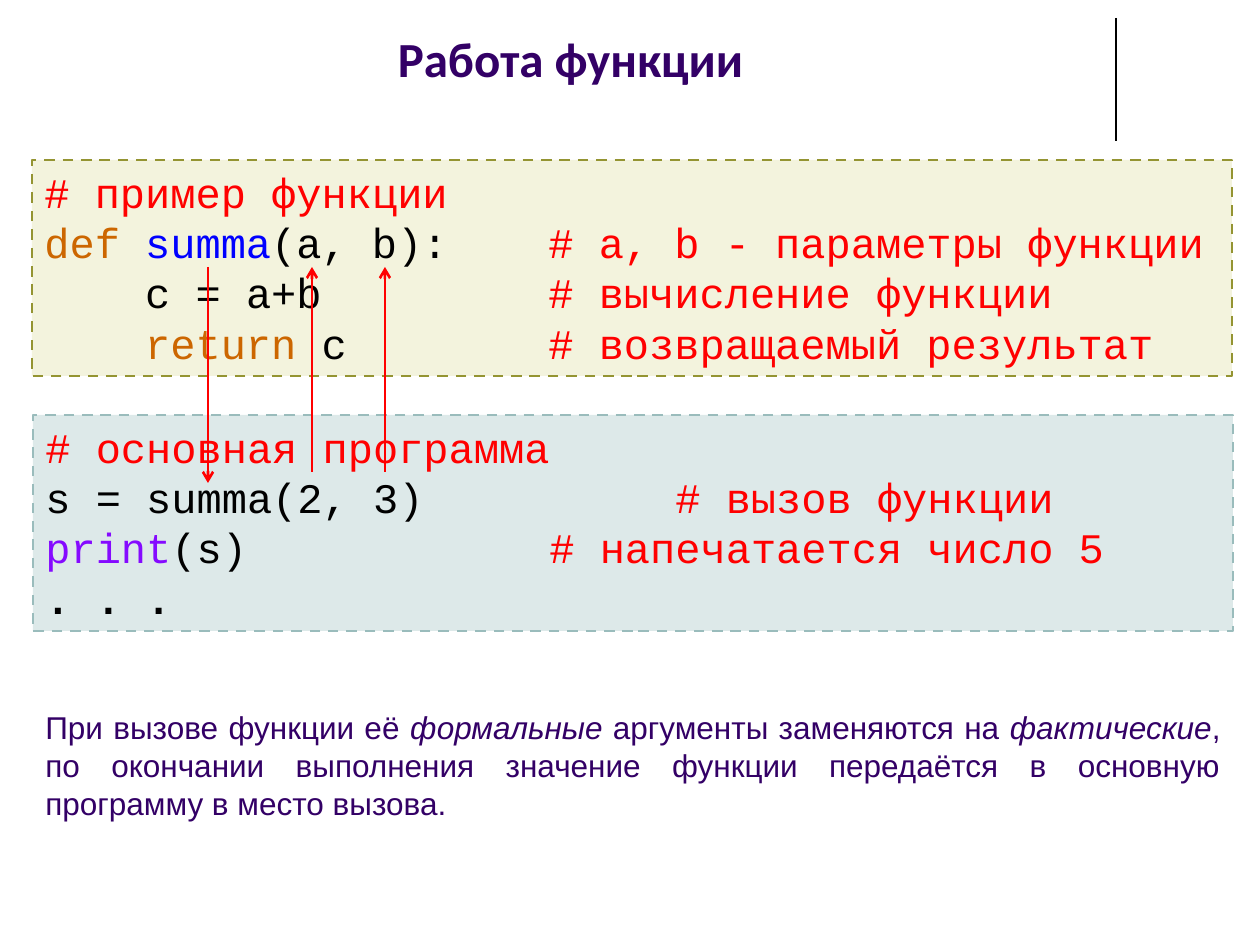
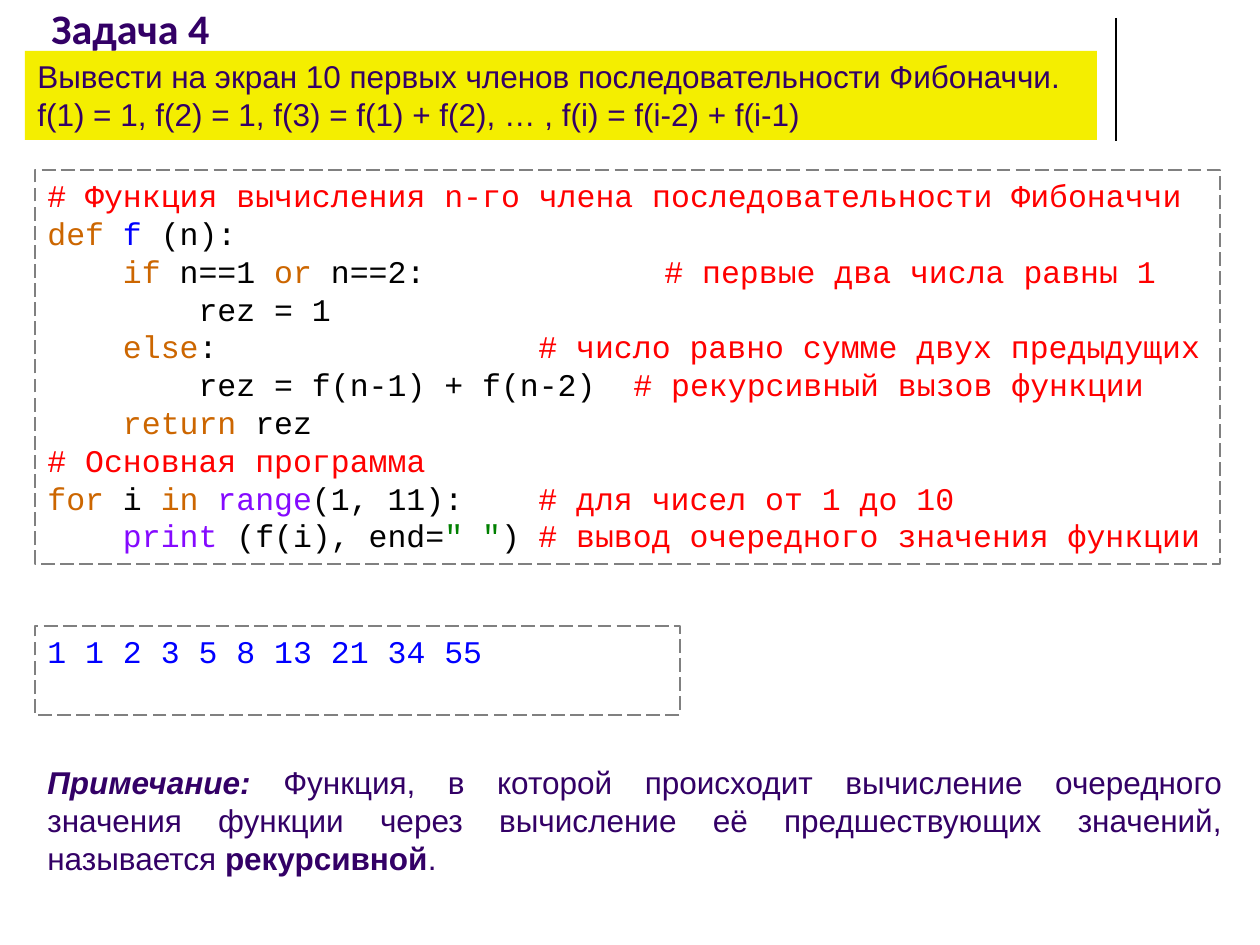
from lxml import etree
from pptx import Presentation
from pptx import util as u
from pptx.dml.color import RGBColor
from pptx.enum import dml, shapes, text
from pptx.oxml.ns import qn

PX = u.Inches(1) // 126

COLOURS = {
    "ink": "330066",
    "rule": "000000",
    "comment": "FF0000",
    "keyword": "CC6600",
    "function": "0000FF",
    "builtin": "850AFF",
    "string": "008000",
    "plain": "000000",
    "arrow": "FF0000",
    "yellow": "F4EE00",
    "olive_fill": "F3F3DD",
    "olive_line": "949432",
    "teal_fill": "DDE9E9",
    "teal_line": "9ABCBC",
    "white": "FFFFFF",
    "grey": "808080",
}
DASH = dml.MSO_LINE.DASH
LONG_DASH = dml.MSO_LINE.LONG_DASH
JUSTIFY = text.PP_ALIGN.JUSTIFY


def colour(name):
    return RGBColor.from_string(COLOURS[name])


def set_tab(paragraph, position):
    tabs = etree.SubElement(paragraph._p.get_or_add_pPr(), qn("a:tabLst"))
    etree.SubElement(tabs, qn("a:tab"), pos=str(position * PX), algn="l")


class Deck:
    def __init__(self):
        self.presentation = Presentation()
        self.presentation.slide_width = 1260 * PX
        self.presentation.slide_height = 945 * PX
        self.slide = None

    def new_slide(self, title, box, size, align=text.PP_ALIGN.LEFT):
        """Start a slide with the shared rule at the upper right and a title."""
        self.slide = self.presentation.slides.add_slide(self.presentation.slide_layouts[6])
        self.line(1116, 18, 1116, 141, "rule", 0.75)
        shape = self.textbox(box, [(title, "b")], size, align, "Calibri")
        shape.text_frame.vertical_anchor = text.MSO_ANCHOR.BOTTOM

    def line(self, x1, y1, x2, y2, line_colour, width, arrow=False):
        connector = self.slide.shapes.add_connector(
            shapes.MSO_CONNECTOR.STRAIGHT, x1 * PX, y1 * PX, x2 * PX, y2 * PX)
        connector.line.color.rgb = colour(line_colour)
        connector.line.width = u.Pt(width)
        if arrow:
            etree.SubElement(connector.line._get_or_add_ln(), qn("a:tailEnd"), type="arrow")
        etree.SubElement(connector._element.spPr, qn("a:effectLst"))

    def rectangle(self, box, fill, outline=None, width=1.5, dash=DASH):
        shape = self.slide.shapes.add_shape(
            shapes.MSO_SHAPE.RECTANGLE, *(length * PX for length in box))
        shape.shadow.inherit = False
        shape.fill.solid()
        shape.fill.fore_color.rgb = colour(fill)
        if outline:
            shape.line.color.rgb = colour(outline)
            shape.line.width = u.Pt(width)
            shape.line.dash_style = dash
        else:
            shape.line.fill.background()
        shape.text_frame.vertical_anchor = text.MSO_ANCHOR.TOP
        return shape

    def write_run(self, paragraph, words, font_name, size, ink, style=""):
        run = paragraph.add_run()
        run.text = words
        run.font.name = font_name
        run.font.size = u.Pt(size)
        run.font.color.rgb = colour(ink)
        run.font.bold = "b" in style
        run.font.italic = "i" in style

    def textbox(self, box, runs, size=18, align=JUSTIFY, font_name="Arial"):
        """Write one paragraph of (words, style) runs; style may hold b and i."""
        shape = self.slide.shapes.add_textbox(*(length * PX for length in box))
        shape.text_frame.word_wrap = True
        paragraph = shape.text_frame.paragraphs[0]
        paragraph.alignment = align
        for words, style in runs:
            self.write_run(paragraph, words, font_name, size, "ink", style)
        return shape

    def banner(self, box, lines):
        shape = self.rectangle(box, "yellow")
        paragraph = shape.text_frame.paragraphs[0]
        paragraph.alignment = text.PP_ALIGN.LEFT
        for index, words in enumerate(lines):
            if index:
                paragraph.add_line_break()
            self.write_run(paragraph, words, "Arial", 18, "ink")

    def code(self, shape, size, lines):
        """Fill a shape with lines of (kind, words) runs.

        A run of (tab position, words) is a comment aligned at that position.
        """
        frame = shape.text_frame
        for index, runs in enumerate(lines):
            paragraph = frame.add_paragraph() if index else frame.paragraphs[0]
            paragraph.alignment = text.PP_ALIGN.LEFT
            for kind, words in runs:
                if isinstance(kind, int):
                    set_tab(paragraph, kind)
                    kind, words = "comment", "\t" + words
                style = "b" if words == ". . ." else ""
                self.write_run(paragraph, words, "Courier New", size, kind, style)


def build_function_slide(deck):
    deck.new_slide("Работа функции", (74, 21, 993, 73), 28, text.PP_ALIGN.CENTER)
    comments = 504
    program = deck.rectangle((33, 415, 1200, 216), "teal_fill", "teal_line")
    deck.code(program, 24, [
        [("comment", "# основная программа")],
        [("plain", "s = summa(2, 3)"), (630, "# вызов функции")],
        [("builtin", "print"), ("plain", "(s)"), (comments, "# напечатается число 5")],
        [("plain", ". . .")],
    ])
    deck.textbox((33, 702, 1200, 127), [
        ("При вызове функции её ", ""),
        ("формальные", "i"),
        (" аргументы заменяются на ", ""),
        ("фактические", "i"),
        (", по окончании выполнения значение функции передаётся "
         "в основную программу в место вызова.", ""),
    ])
    function = deck.rectangle((32, 160, 1200, 216), "olive_fill", "olive_line")
    deck.code(function, 24, [
        [("comment", "# пример функции")],
        [("keyword", "def "), ("function", "summa"), ("plain", "(a, b):"),
         (comments, "# a, b - параметры функции")],
        [("plain", "    c = a+b"), (comments, "# вычисление функции")],
        [("plain", "    "), ("keyword", "return"), ("plain", " c"),
         (comments, "# возвращаемый результат")],
    ])
    for argument_x in (312, 385):
        deck.line(argument_x, 472, argument_x, 267, "arrow", 1.5, arrow=True)
    deck.line(208, 267, 208, 483, "arrow", 1.5, arrow=True)


def build_fibonacci_slide(deck):
    deck.new_slide("Задача 4", (39, 0, 1040, 59), 24)
    deck.banner((25, 51, 1072, 89), [
        "Вывести на экран 10 первых членов последовательности Фибоначчи.",
        "f(1) = 1, f(2) = 1, f(3) = f(1) + f(2), … , f(i) = f(i-2) + f(i-1)",
    ])
    comments = 491
    listing = deck.rectangle((35, 170, 1185, 394), "white", "grey", 1, LONG_DASH)
    deck.code(listing, 18, [
        [("comment", "# Функция вычисления n-го члена последовательности Фибоначчи")],
        [("keyword", "def "), ("function", "f"), ("plain", " (n):")],
        [("plain", "    "), ("keyword", "if"), ("plain", " n==1 "), ("keyword", "or"),
         ("plain", " n==2:"), (617, "# первые два числа равны 1")],
        [("plain", "        rez = 1")],
        [("plain", "    "), ("keyword", "else"), ("plain", ":"),
         (comments, "# число равно сумме двух предыдущих")],
        [("plain", "        rez = f(n-1) + f(n-2)"), (586, "# рекурсивный вызов функции")],
        [("plain", "    "), ("keyword", "return "), ("plain", "rez")],
        [("comment", "# Основная программа")],
        [("keyword", "for"), ("plain", " i "), ("keyword", "in "), ("builtin", "range"),
         ("plain", "(1, 11):"), (comments, "# для чисел от 1 до 10")],
        [("plain", "    "), ("builtin", "print"), ("plain", " (f(i), end="),
         ("string", '" "'), ("plain", ")"),
         (comments, "# вывод очередного значения функции")],
    ])
    output = deck.rectangle((35, 626, 645, 89), "white", "grey", 1, LONG_DASH)
    deck.code(output, 18, [[("function", "1 1 2 3 5 8 13 21 34 55")]])
    deck.textbox((35, 757, 1200, 127), [
        ("Примечание: ", "bi"),
        ("Функция, в которой происходит вычисление очередного значения функции "
         "через вычисление её предшествующих значений, называется ", ""),
        ("рекурсивной", "b"),
        (".", ""),
    ])


def main():
    deck = Deck()
    build_function_slide(deck)
    build_fibonacci_slide(deck)
    deck.presentation.save("out.pptx")


if __name__ == "__main__":
    main()
